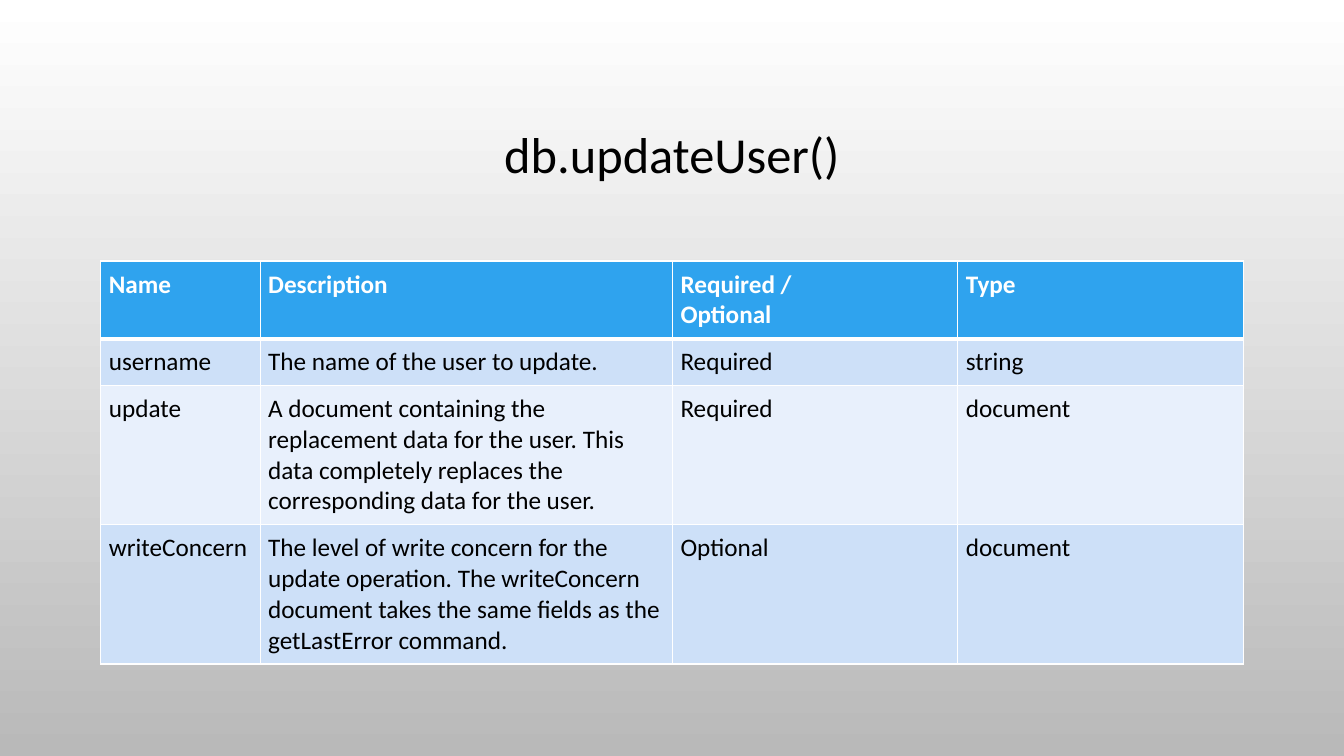
import pptx
import pptx.util
import pptx.dml.color
import pptx.enum.text
import pptx.oxml
import pptx.oxml.ns

Inches, Pt = pptx.util.Inches, pptx.util.Pt
RGBColor = pptx.dml.color.RGBColor

COLORS = {
    "background_top": "FFFFFF",
    "background_bottom": "B9B9B9",
    "header": "2FA3EE",
    "odd_row": "CDE0F8",
    "even_row": "E8F0FC",
    "border": "FFFFFF",
    "header_text": "FFFFFF",
    "text": "000000",
}
PARAMETERS = [
    ("Name", "Description", "Required /\nOptional", "Type"),
    ("username", "The name of the user to update.", "Required", "string"),
    ("update", "A document containing the replacement data for the user. "
     "This data completely replaces the corresponding data for the user.",
     "Required", "document"),
    ("writeConcern", "The level of write concern for the update operation. "
     "The writeConcern document takes the same fields as the "
     "getLastError command.", "Optional", "document"),
]
COLUMN_WIDTHS = [1.58, 4.09, 2.83, 2.83]


def format_runs(paragraph, color, size, bold):
    for run in paragraph.runs:
        values = {"name": "Calibri", "size": Pt(size), "bold": bold}
        for name, value in values.items():
            setattr(run.font, name, value)
        run.font.color.rgb = RGBColor.from_string(COLORS[color])


def add_border(cell, side, width):
    properties = cell._tc.get_or_add_tcPr()
    line = pptx.oxml.parse_xml(
        f'<a:{side} {pptx.oxml.ns.nsdecls("a")} w="{Pt(width)}"><a:solidFill>'
        f'<a:srgbClr val="{COLORS["border"]}"/></a:solidFill></a:{side}>')
    properties.append(line)


presentation = pptx.Presentation()
presentation.slide_width = Inches(13.33)
presentation.slide_height = Inches(7.5)
slide = presentation.slides.add_slide(presentation.slide_layouts[5])

# Background: white at the top, grey at the bottom
background = slide.background.fill
background.gradient()
background.gradient_angle = 270
for stop, name in zip(background.gradient_stops, ("background_top", "background_bottom")):
    stop.color.rgb = RGBColor.from_string(COLORS[name])

# Title
title = slide.shapes.title
title_box = {"left": 1, "top": 0.68, "width": 11.33, "height": 1.75}
for name, value in title_box.items():
    setattr(title, name, Inches(value))
title.text_frame.vertical_anchor = pptx.enum.text.MSO_ANCHOR.MIDDLE
paragraph = title.text_frame.paragraphs[0]
paragraph.text = "db.updateUser()"
paragraph.alignment = pptx.enum.text.PP_ALIGN.CENTER
paragraph.line_spacing = 0.9
format_runs(paragraph, "text", 36, False)

# Parameter table
table_frame = slide.shapes.add_table(
    len(PARAMETERS), len(COLUMN_WIDTHS),
    Inches(1), Inches(2.59), Inches(11.33), Inches(3.97))
table = table_frame.table
for column, width in zip(table.columns, COLUMN_WIDTHS):
    column.width = Inches(width)

# Rows grow from their minimum height to fit the text
for row_index, (row, texts) in enumerate(zip(table.rows, PARAMETERS)):
    row.height = Inches(0.41)
    is_header = row_index == 0
    row_fill = "header" if is_header else ("even_row", "odd_row")[row_index % 2]
    for cell, text in zip(row.cells, texts):
        for side in ("left", "top", "right", "bottom"):
            setattr(cell, f"margin_{side}", Inches(0.08))
        paragraph = cell.text_frame.paragraphs[0]
        paragraph.text = text
        format_runs(paragraph, "header_text" if is_header else "text", 18, is_header)
        for side in ("lnL", "lnR", "lnT", "lnB"):
            thick = (is_header and side == "lnB") or (row_index == 1 and side == "lnT")
            add_border(cell, side, 3 if thick else 1)
        cell.fill.solid()
        cell.fill.fore_color.rgb = RGBColor.from_string(COLORS[row_fill])
table_frame.height = Inches(3.97)

presentation.save("out.pptx")
